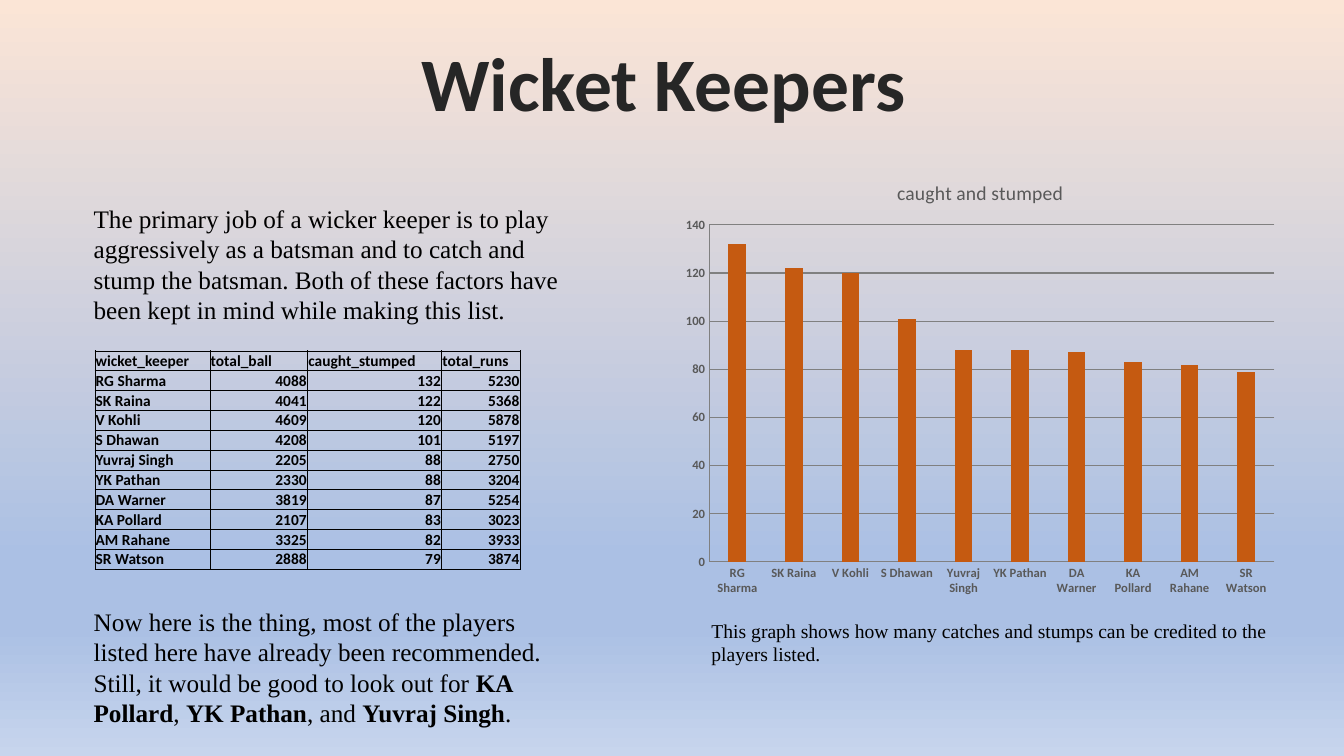
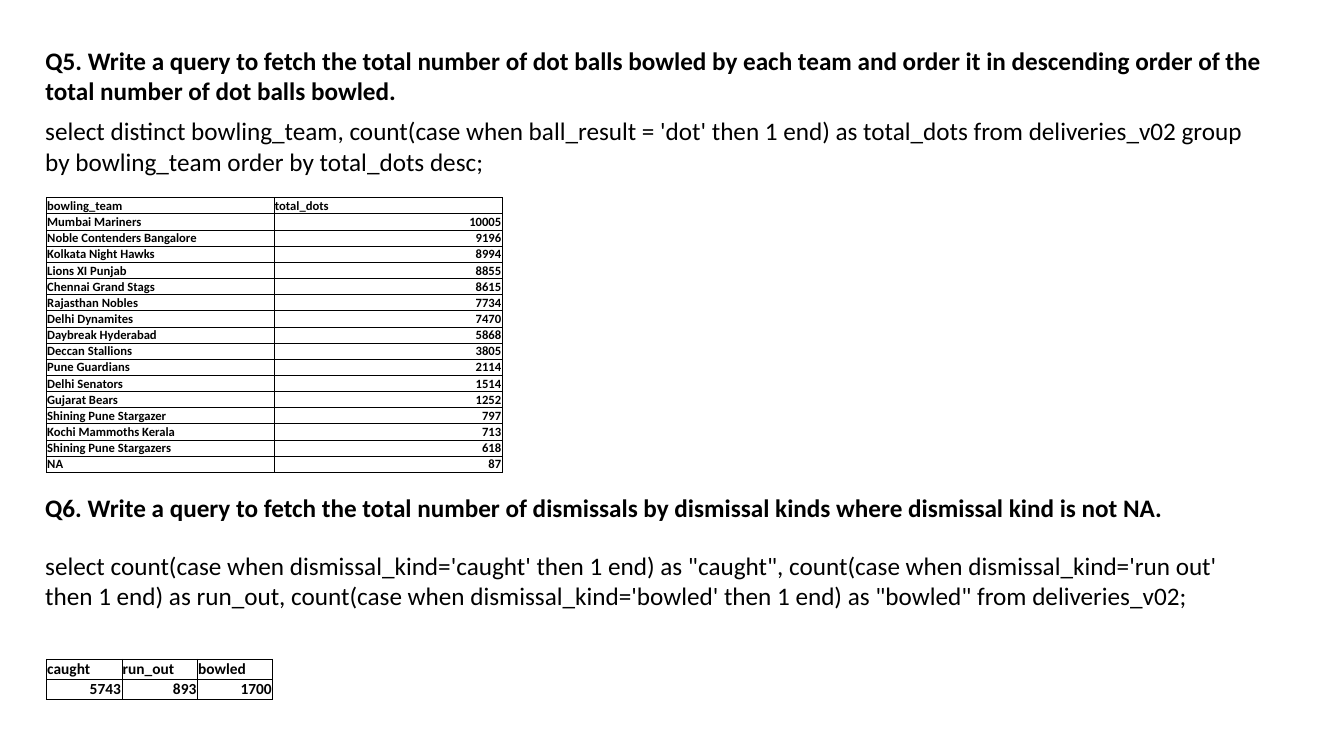
import pptx
import pptx.chart.data
import pptx.dml.color
import pptx.enum.chart
import pptx.enum.text
import pptx.oxml
import pptx.oxml.ns
import pptx.util

Cm = pptx.util.Cm
Pt = pptx.util.Pt
qn = pptx.oxml.ns.qn
ALIGN = pptx.enum.text.PP_ALIGN
ANCHOR = pptx.enum.text.MSO_ANCHOR
NO_TICK = pptx.enum.chart.XL_TICK_MARK.NONE

COLORS = {
    "text": "000000",
    "title": "262626",
    "bar": "C55A11",
    "axis_text": "595959",
    "axis_line": "808080",
}
SKY = [(0, "FBE5D6"), (74, "ABC0E4"), (83, "ABC0E4"), (100, "C7D5ED")]
SANS, SERIF = "Calibri", "Times New Roman"


def apply(target, **values):
    for name, value in values.items():
        setattr(target, name, value)


class Deck:
    """Holds the shared style and the slide being filled."""

    def __init__(self):
        self.presentation = pptx.Presentation()
        apply(self.presentation, slide_width=Cm(33.87), slide_height=Cm(19.05))
        self.slide = None

    def add_slide(self):
        layout = self.presentation.slide_layouts.get_by_name("Title Only")
        self.slide = self.presentation.slides.add_slide(layout)

    def gradient(self, stops):
        fill = self.slide.background.fill
        fill.gradient()
        fill.gradient_angle = 270
        stop_list = self.slide.element.find(".//" + qn("a:gsLst"))
        for stop in list(stop_list):
            stop_list.remove(stop)
        for position, color in stops:
            stop_list.append(pptx.oxml.parse_xml(
                f'<a:gs {pptx.oxml.ns.nsdecls("a")} pos="{position * 1000}">'
                f'<a:srgbClr val="{color}"/></a:gs>'))

    def font(self, font, size, color="text", name=SANS, bold=False):
        apply(font, size=Pt(size), name=name, bold=bold)
        font.color.rgb = pptx.dml.color.RGBColor.from_string(COLORS[color])

    def fill_text(self, shape, box, runs, align=ALIGN.LEFT, wrap=True, **style):
        """Fill a shape with one paragraph of (text, bold) runs."""
        for name, value in zip(("left", "top", "width", "height"), box):
            setattr(shape, name, Cm(value))
        frame = shape.text_frame
        apply(frame, word_wrap=wrap, vertical_anchor=ANCHOR.TOP,
              auto_size=pptx.enum.text.MSO_AUTO_SIZE.NONE)
        paragraph = frame.paragraphs[0]
        paragraph.alignment = align
        for text, bold in runs:
            run = paragraph.add_run()
            run.text = text
            self.font(run.font, bold=bold, **style)

    def title(self, text, box, **style):
        self.fill_text(self.slide.shapes.title, box, [(text, True)], **style)

    def text(self, runs, box, size=18, **style):
        shape = self.slide.shapes.add_textbox(0, 0, 0, 0)
        self.fill_text(shape, box, runs, size=size, **style)

    def borders(self, cell):
        properties = cell._tc.get_or_add_tcPr()
        for side in ("lnL", "lnR", "lnT", "lnB"):
            properties.append(pptx.oxml.parse_xml(
                f'<a:{side} {pptx.oxml.ns.nsdecls("a")} w="{Pt(0.5)}"><a:solidFill>'
                f'<a:srgbClr val="{COLORS["text"]}"/></a:solidFill></a:{side}>'))

    def table(self, rows, left, top, widths, row_height, size):
        table = self.slide.shapes.add_table(
            len(rows), len(widths), Cm(left), Cm(top),
            Cm(sum(widths)), Cm(row_height * len(rows))).table
        apply(table, first_row=False, horz_banding=False)
        for column, width in zip(table.columns, widths):
            column.width = Cm(width)
        for row, values in zip(table.rows, rows):
            row.height = Cm(row_height)
            for cell, value in zip(row.cells, values):
                self.borders(cell)
                cell.fill.background()
                apply(cell, vertical_anchor=ANCHOR.BOTTOM, margin_left=Cm(0.02),
                      margin_right=Cm(0.02), margin_top=Cm(0.02), margin_bottom=0)
                paragraph = cell.text_frame.paragraphs[0]
                paragraph.alignment = ALIGN.RIGHT if isinstance(value, int) else ALIGN.LEFT
                run = paragraph.add_run()
                run.text = str(value)
                self.font(run.font, size, bold=True)

    def line(self, line):
        line.color.rgb = pptx.dml.color.RGBColor.from_string(COLORS["axis_line"])
        line.width = Pt(0.75)

    def place(self, element, index, target="", **fractions):
        """Give a chart part a fixed place, in fractions of the chart."""
        for layout in element.findall(qn("c:layout")):
            element.remove(layout)
        modes = '<c:xMode val="edge"/><c:yMode val="edge"/>'
        values = "".join(f'<c:{key} val="{value}"/>' for key, value in fractions.items())
        element.insert(index, pptx.oxml.parse_xml(
            f'<c:layout {pptx.oxml.ns.nsdecls("c")}><c:manualLayout>'
            f'{target}{modes}{values}</c:manualLayout></c:layout>'))

    def column_chart(self, heading, categories, values, box):
        data = pptx.chart.data.CategoryChartData()
        data.categories = categories
        data.add_series("Series 1", values)
        chart = self.slide.shapes.add_chart(
            pptx.enum.chart.XL_CHART_TYPE.COLUMN_CLUSTERED,
            *(Cm(value) for value in box), data).chart
        chart.has_legend = False
        self.font(chart.font, 10)

        # Heading
        frame = chart.chart_title.text_frame
        frame.text = heading
        self.font(frame.paragraphs[0].runs[0].font, 14, "axis_text")
        self.place(chart.chart_title._element, 1, x=0.36, y=0.04)

        # Columns
        plot = chart.plots[0]
        apply(plot, gap_width=219, overlap=-27, vary_by_categories=False)
        fill = plot.series[0].format.fill
        fill.solid()
        fill.fore_color.rgb = pptx.dml.color.RGBColor.from_string(COLORS["bar"])
        self.place(chart._chartSpace.find(".//" + qn("c:plotArea")), 0,
                   '<c:layoutTarget val="inner"/>', x=0.06, y=0.15, w=0.92, h=0.76)

        # Axes
        for axis in (chart.category_axis, chart.value_axis):
            apply(axis, major_tick_mark=NO_TICK, minor_tick_mark=NO_TICK)
            self.font(axis.tick_labels.font, 9, "axis_text", bold=True)
            self.line(axis.format.line)
        apply(chart.value_axis, minimum_scale=0, maximum_scale=140, major_unit=20)
        self.line(chart.value_axis.major_gridlines.format.line)


deck = Deck()

# Slide 1: wicket keepers
keepers = [
    ("RG Sharma", 4088, 132, 5230),
    ("SK Raina", 4041, 122, 5368),
    ("V Kohli", 4609, 120, 5878),
    ("S Dhawan", 4208, 101, 5197),
    ("Yuvraj Singh", 2205, 88, 2750),
    ("YK Pathan", 2330, 88, 3204),
    ("DA Warner", 3819, 87, 5254),
    ("KA Pollard", 2107, 83, 3023),
    ("AM Rahane", 3325, 82, 3933),
    ("SR Watson", 2888, 79, 3874),
]
keeper_header = ("wicket_keeper", "total_ball", "caught_stumped", "total_runs")
deck.add_slide()
deck.gradient(SKY)
deck.title("Wicket Keepers", (10.31, 0.79, 12.83, 2.57),
           size=54, color="title", align=ALIGN.CENTER, wrap=False)
deck.column_chart("caught and stumped", [keeper[0] for keeper in keepers],
                  [keeper[2] for keeper in keepers], (16.94, 3.99, 15.49, 11.18))
deck.text([("The primary job of a wicker keeper is to play aggressively as a batsman "
            "and to catch and stump the batsman. Both of these factors have been kept "
            "in mind while making this list.", False)],
          (2.11, 5, 12.4, 3.33), name=SERIF)
deck.table([keeper_header, *keepers], 2.39, 8.84, (2.9, 2.46, 3.38, 1.98), 0.5, 11)
deck.text([("Now here is the thing, most of the players listed here have already been "
            "recommended. Still, it would be good to look out for ", False),
           ("KA Pollard", True), (", ", False), ("YK Pathan", True),
           (", and ", False), ("Yuvraj Singh", True), (".", False)],
          (2.11, 15.16, 12.4, 3.33), name=SERIF)
deck.text([("This graph shows how many catches and stumps can be credited to the "
            "players listed.", False)],
          (17.68, 15.47, 14.76, 1.45), size=14, name=SERIF)

# Slide 2: queries on dot balls and dismissals
dot_balls = [
    ("bowling_team", "total_dots"),
    ("Mumbai Mariners", 10005),
    ("Noble Contenders Bangalore", 9196),
    ("Kolkata Night Hawks", 8994),
    ("Lions XI Punjab", 8855),
    ("Chennai Grand Stags", 8615),
    ("Rajasthan Nobles", 7734),
    ("Delhi Dynamites", 7470),
    ("Daybreak Hyderabad", 5868),
    ("Deccan Stallions", 3805),
    ("Pune Guardians", 2114),
    ("Delhi Senators", 1514),
    ("Gujarat Bears", 1252),
    ("Shining Pune Stargazer", 797),
    ("Kochi Mammoths Kerala", 713),
    ("Shining Pune Stargazers", 618),
    ("NA", 87),
]
deck.add_slide()
deck.title("Q5. Write a query to fetch the total number of dot balls bowled by each team "
           "and order it in descending order of the total number of dot balls bowled.",
           (0.89, 1.02, 31.34, 1.8), size=18)
deck.text([("select distinct bowling_team, count(case when ball_result = 'dot' then 1 end) "
            "as total_dots from deliveries_v02 group by bowling_team order by "
            "total_dots desc;", False)], (0.89, 2.79, 30.84, 1.8))
deck.table(dot_balls, 1.17, 4.98, (5.74, 5.74), 0.4, 9)
deck.text([("Q6. Write a query to fetch the total number of dismissals by dismissal kinds "
            "where dismissal kind is not NA.", True)], (0.89, 12.27, 30.84, 1))
deck.text([("select count(case when dismissal_kind='caught' then 1 end) as \"caught\", "
            "count(case when dismissal_kind='run out' then 1 end) as run_out, "
            "count(case when dismissal_kind='bowled' then 1 end) as \"bowled\" "
            "from deliveries_v02;", False)], (0.89, 13.74, 30.84, 2.57))
deck.table([("caught", "run_out", "bowled"), (5743, 893, 1700)],
           1.17, 16.61, (1.9, 1.9, 1.9), 0.5, 11)

deck.presentation.save("out.pptx")
